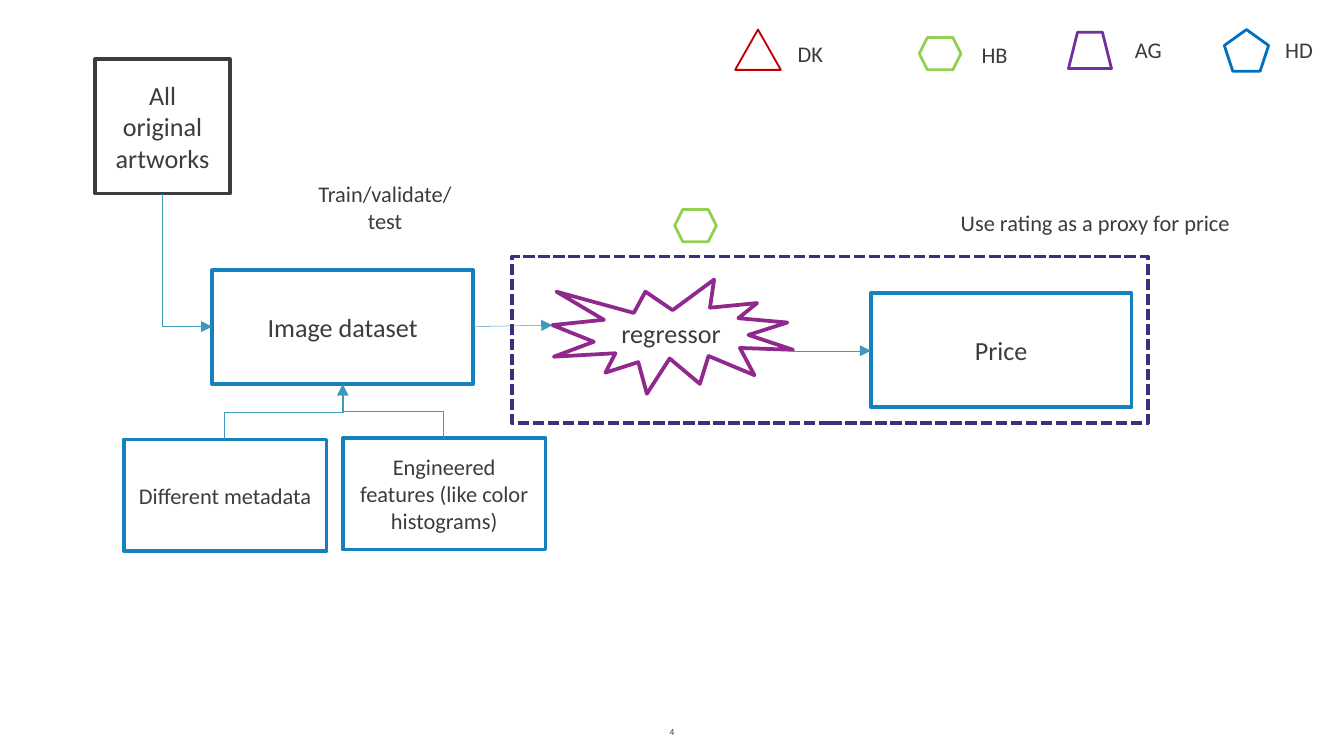
from dataclasses import dataclass

from pptx import Presentation
from pptx.dml.color import RGBColor
from pptx.enum.dml import MSO_LINE_DASH_STYLE as Dash
from pptx.enum.shapes import MSO_CONNECTOR_TYPE as Link, MSO_SHAPE as Preset
from pptx.enum.text import MSO_ANCHOR as Anchor, PP_ALIGN as Align
from pptx.oxml.ns import qn
from pptx.util import Emu, Pt
from lxml.etree import SubElement

EMU_PER_PX = 9144  # 100 px to the inch


@dataclass(frozen=True)
class Theme:
    font: str = "Calibri"
    ink: str = "3C3C3B"
    paper: str = "FFFFFF"
    data: str = "1582BD"
    model: str = "90288D"
    scope: str = "36337C"
    arrow: str = "3F98BD"
    red: str = "C00000"
    green: str = "92D050"
    purple: str = "7030A0"
    blue: str = "0070C0"
    large: int = 14
    normal: int = 12
    tiny: int = 5
    heavy: float = 2
    medium: float = 1.5
    light: float = 1
    hairline: float = 0.25


THEME = Theme()

# (goes down, goes right): rotation in degrees, flipH, flipV
ELBOW_TURNS = {
    (True, True): (270, 1, 0),
    (False, False): (270, 0, 1),
    (False, True): (90, 1, 1),
}


def px(*lengths):
    return [Emu(round(length * EMU_PER_PX)) for length in lengths]


def apply(target, values):
    for name, value in values.items():
        setattr(target, name, value)


def write(shape, text, size, anchor=Anchor.MIDDLE):
    frame = shape.text_frame
    apply(frame, {"word_wrap": True, "vertical_anchor": anchor})
    paragraph = frame.paragraphs[0]
    paragraph.alignment = Align.CENTER
    run = paragraph.add_run()
    run.text = text
    apply(run.font, {"name": THEME.font, "size": Pt(size)})
    run.font.color.rgb = RGBColor.from_string(THEME.ink)


def add_outline(slide, preset, box, color, width, dash=None):
    shape = slide.shapes.add_shape(preset, *px(*box))
    shape.shadow.inherit = False
    shape.fill.background()
    shape.line.color.rgb = RGBColor.from_string(color)
    apply(shape.line, {"width": Pt(width), "dash_style": dash})
    return shape


def add_node(slide, text, box, color=THEME.data, size=THEME.large, preset=Preset.RECTANGLE):
    node = add_outline(slide, preset, box, color, THEME.heavy)
    node.fill.solid()
    node.fill.fore_color.rgb = RGBColor.from_string(THEME.paper)
    write(node, text, size)


def add_label(slide, text, box, size=THEME.normal, anchor=Anchor.TOP):
    write(slide.shapes.add_textbox(*px(*box)), text, size, anchor)


def add_arrow(slide, start, end, kind=Link.STRAIGHT):
    arrow = slide.shapes.add_connector(kind, *px(*start, *end))
    arrow.line.color.rgb = RGBColor.from_string(THEME.arrow)
    arrow.line.width = Pt(THEME.hairline)
    SubElement(arrow.line._get_or_add_ln(), qn("a:tailEnd"), type="triangle")
    properties = arrow._element.spPr
    SubElement(properties, qn("a:effectLst"))
    return properties


def add_elbow(slide, start, end, preset="bentConnector3"):
    """Arrow that leaves vertically: a horizontal elbow turned about its centre."""
    (x1, y1), (x2, y2) = start, end
    center_x, center_y = (x1 + x2) / 2, (y1 + y2) / 2
    half_w, half_h = abs(y2 - y1) / 2, abs(x2 - x1) / 2
    properties = add_arrow(
        slide,
        (center_x - half_w, center_y - half_h),
        (center_x + half_w, center_y + half_h),
        Link.ELBOW,
    )
    properties.find(qn("a:prstGeom")).set("prst", preset)
    rotation, flip_h, flip_v = ELBOW_TURNS[y2 > y1, x2 > x1]
    frame = properties.find(qn("a:xfrm"))
    for name, value in {"rot": rotation * 60000, "flipH": flip_h, "flipV": flip_v}.items():
        frame.set(name, str(value))


def add_pipeline(slide):
    add_node(slide, "Image dataset", (158, 201, 194, 85))
    add_node(slide, "regressor", (411, 208, 179, 85), THEME.model, preset=Preset.EXPLOSION1)
    add_node(slide, "Price", (648, 218, 194, 85))
    add_node(slide, "All original artworks", (71, 44, 100, 100), THEME.ink)
    add_label(slide, "Train/validate/test", (216, 129, 141, 30))
    add_elbow(slide, (121, 144), (158, 243), "bentConnector2")
    add_label(slide, "Use rating as a proxy for price", (701, 151, 228, 30))
    add_arrow(slide, (352, 243), (411, 242))
    add_arrow(slide, (589, 261), (648, 261))

    add_node(slide, "Engineered features (like color histograms)",
             (255, 326, 151, 83), size=THEME.normal)
    add_node(slide, "Different metadata", (92, 327, 151, 83), size=THEME.normal)
    dataset_bottom = (255, 286)
    for feature_top in ((330, 326), (167, 327)):
        add_elbow(slide, feature_top, dataset_bottom)

    add_outline(slide, Preset.RECTANGLE, (381, 191, 473, 124),
                THEME.scope, THEME.heavy, Dash.SQUARE_DOT)
    add_outline(slide, Preset.HEXAGON, (502, 156, 31, 24), THEME.green, THEME.medium)


def add_legend(slide):
    members = (
        ("DK", (581, 25, 44, 30), Preset.ISOSCELES_TRIANGLE, (547, 22, 34, 30),
         THEME.red, THEME.light),
        ("HB", (719, 26, 42, 30), Preset.HEXAGON, (684, 28, 31, 24),
         THEME.green, THEME.medium),
        ("AG", (833, 22, 43, 30), Preset.TRAPEZOID, (795, 24, 32, 27),
         THEME.purple, THEME.medium),
        ("HD", (944, 22, 45, 30), Preset.REGULAR_PENTAGON, (911, 22, 33, 31),
         THEME.blue, THEME.medium),
    )
    for initials, label_box, preset, marker_box, color, width in members:
        add_outline(slide, preset, marker_box, color, width)
        add_label(slide, initials, label_box)


def main():
    deck = Presentation()
    [slide_width] = px(1000)
    apply(deck, {"slide_width": slide_width, "slide_height": slide_width * 9 // 16})
    slide = deck.slides.add_slide(deck.slide_layouts[6])
    add_label(slide, "4", (453, 535, 94, 19), THEME.tiny, Anchor.MIDDLE)
    add_pipeline(slide)
    add_legend(slide)
    deck.save("out.pptx")


if __name__ == "__main__":
    main()
